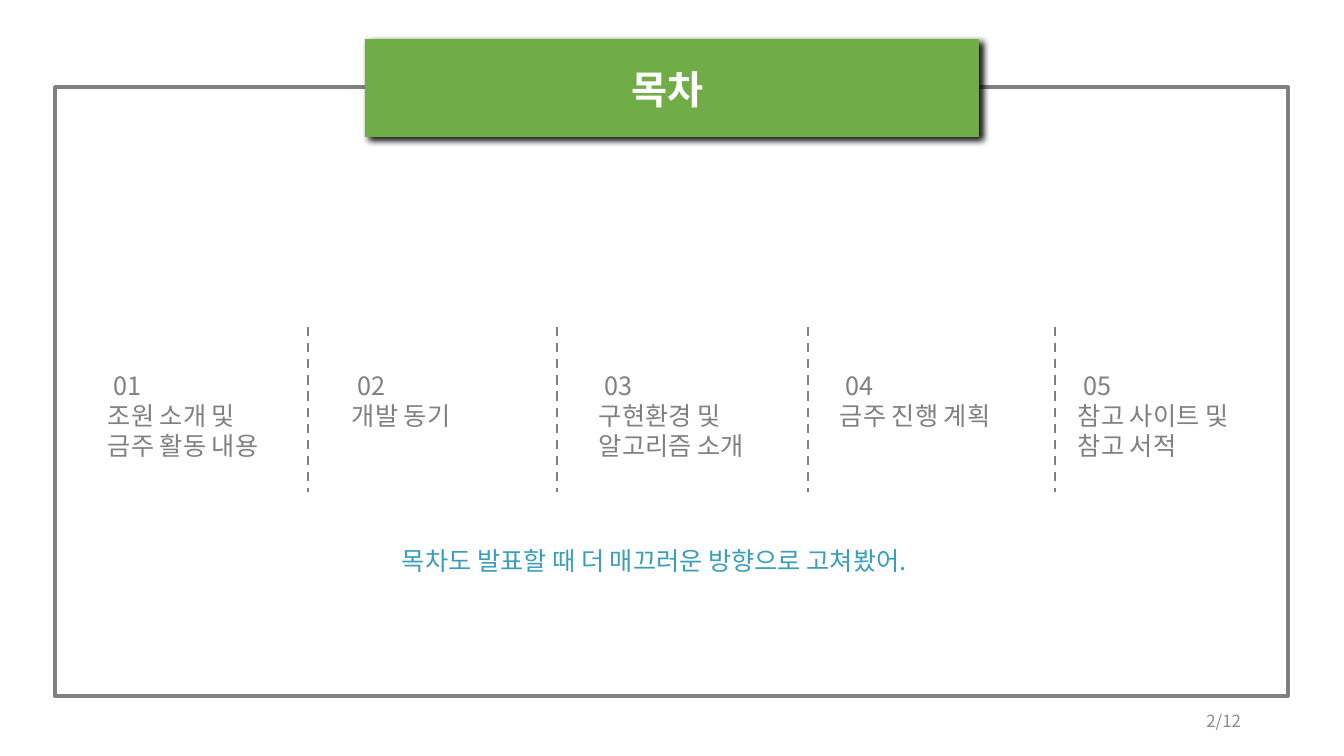
from dataclasses import dataclass

from lxml import etree
from pptx import Presentation
from pptx import util as u
from pptx.dml.color import RGBColor
from pptx.enum import dml, shapes, text
from pptx.oxml import ns

SCALE = 12192000 / 1344


@dataclass(frozen=True)
class Theme:
    font: str = "Noto Sans CJK KR"
    gray: str = "808080"
    green: str = "70AD47"
    white: str = "FFFFFF"
    blue: str = "399EB9"
    page_gray: str = "8C8C8C"
    shadow: str = "000000"
    title_size: int = 28
    body_size: int = 18
    page_size: int = 12
    frame_width: float = 2.5
    divider_width: float = 1.65


THEME = Theme()

AGENDA = [
    (98, 192, [" 01", "조원 소개 및", "금주 활동 내용"]),
    (342, 131, [" 02", "개발 동기"]),
    (589, 182, [" 03", "구현환경 및", "알고리즘 소개"]),
    (830, 192, [" 04", "금주 진행 계획"]),
    (1068, 192, [" 05", "참고 사이트 및", "참고 서적"]),
]
DIVIDERS = [308, 557, 808, 1055]


def px(*lengths):
    return [u.Emu(round(length * SCALE)) for length in lengths]


def rgb(color):
    return RGBColor.from_string(color)


def add_text(page, place, lines, size, color, bold=False, wrap=False,
             align=text.PP_ALIGN.LEFT, anchor=text.MSO_ANCHOR.TOP,
             fit=text.MSO_AUTO_SIZE.SHAPE_TO_FIT_TEXT):
    frame = page.shapes.add_textbox(*px(*place)).text_frame
    frame.word_wrap = wrap
    frame.auto_size = fit
    frame.vertical_anchor = anchor
    frame.text = "\n".join(lines)
    for para in frame.paragraphs:
        para.alignment = align
        para.font.name = THEME.font
        para.font.size = u.Pt(size)
        para.font.bold = bold
        para.font.color.rgb = rgb(color)
        defaults = para._p.pPr.find(ns.qn("a:defRPr"))
        etree.SubElement(defaults, ns.qn("a:ea"), typeface=THEME.font)


def add_rectangle(page, place):
    box = page.shapes.add_shape(shapes.MSO_SHAPE.RECTANGLE, *px(*place))
    box.shadow.inherit = False
    return box


def add_frame(page, place):
    frame = add_rectangle(page, place)
    frame.fill.background()
    frame.line.color.rgb = rgb(THEME.gray)
    frame.line.width = u.Pt(THEME.frame_width)


def add_banner(page, place):
    banner = add_rectangle(page, place)
    banner.fill.solid()
    banner.fill.fore_color.rgb = rgb(THEME.green)
    banner.line.fill.background()
    effects = banner._element.spPr.find(ns.qn("a:effectLst"))
    shadow = etree.SubElement(
        effects, ns.qn("a:outerShdw"), blurRad=str(u.Pt(5)), dist=str(u.Pt(3)),
        dir=str(38 * 60000), algn="tl", rotWithShape="0")
    color = etree.SubElement(shadow, ns.qn("a:srgbClr"), val=THEME.shadow)
    etree.SubElement(color, ns.qn("a:alpha"), val="95000")


def add_divider(page, x, top, bottom):
    divider = page.shapes.add_connector(
        shapes.MSO_CONNECTOR.STRAIGHT, *px(x, top, x, bottom))
    divider.line.color.rgb = rgb(THEME.gray)
    divider.line.width = u.Pt(THEME.divider_width)
    divider.line.dash_style = dml.MSO_LINE.DASH
    etree.SubElement(divider._element.spPr, ns.qn("a:effectLst"))


def main():
    deck = Presentation()
    deck.slide_width, deck.slide_height = px(1344, 756)
    page = deck.slides.add_slide(deck.slide_layouts[6])

    add_frame(page, (55, 87, 1233, 609))
    add_banner(page, (365, 39, 614, 98))
    add_text(page, (622, 60, 100, 57), ["목차"],
             THEME.title_size, THEME.white, bold=True)

    for left, width, lines in AGENDA:
        height = 10 + 30 * len(lines)
        add_text(page, (left, 365, width, height), lines,
                 THEME.body_size, THEME.gray)
    for x in DIVIDERS:
        add_divider(page, x, 327, 492)

    add_text(page, (392, 540, 540, 72),
             ["목차도 발표할 때 더 매끄러운 방향으로 고쳐봤어."],
             THEME.body_size, THEME.blue, wrap=True)
    add_text(page, (949, 701, 302, 40), ["2/12"],
             THEME.page_size, THEME.page_gray, wrap=True,
             align=text.PP_ALIGN.RIGHT, anchor=text.MSO_ANCHOR.MIDDLE,
             fit=text.MSO_AUTO_SIZE.NONE)

    deck.save("out.pptx")


if __name__ == "__main__":
    main()
